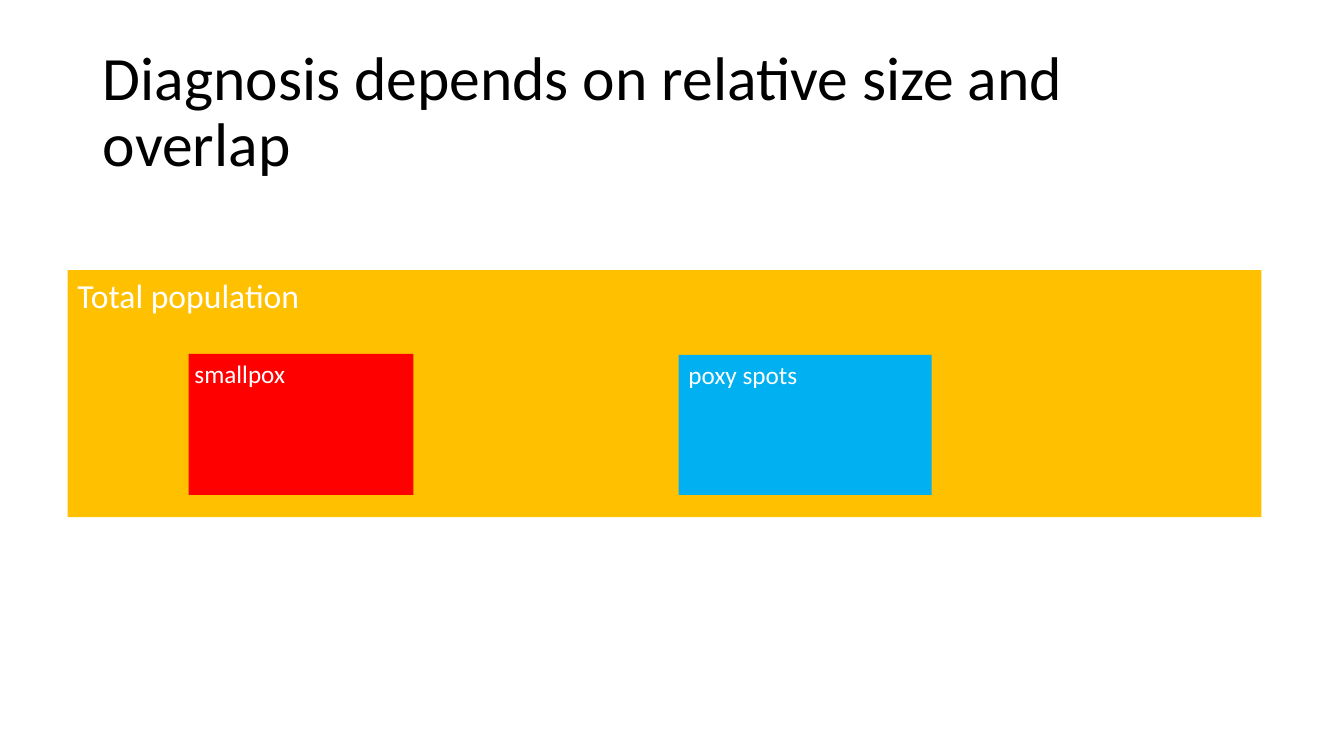
from pptx import Presentation
from pptx.dml.color import RGBColor
from pptx.enum.shapes import MSO_SHAPE
from pptx.enum.text import MSO_ANCHOR, MSO_AUTO_SIZE, PP_ALIGN
from pptx.util import Pt

PX = 9144  # 100 px to the inch
FONT = "Calibri"
HUES = {
    "text": "000000",
    "label": "FFFFFF",
    "total": "FFC000",
    "smallpox": "FF0000",
    "spots": "00B0F0",
}


def emu(*sizes):
    return [size * PX for size in sizes]


def hue(name):
    return RGBColor.from_string(HUES[name])


def style(par, size, name):
    par.alignment = PP_ALIGN.LEFT
    for run in par.runs:
        run.font.name = FONT
        run.font.size = Pt(size)
        run.font.color.rgb = hue(name)


# Heading in the title placeholder
def add_title(slide, box, text):
    title = slide.shapes.title
    title.left, title.top, title.width, title.height = emu(*box)
    frame = title.text_frame
    frame.text = text
    frame.word_wrap = True
    frame.auto_size = MSO_AUTO_SIZE.NONE
    frame.vertical_anchor = MSO_ANCHOR.MIDDLE
    frame.margin_right = 30 * PX
    par = frame.paragraphs[0]
    par.line_spacing = 0.9
    style(par, 44, "text")


# Coloured set with a label in its top left corner
def add_set(slide, box, name, text, size, label, shift=0):
    left, top, _, _ = box
    rect = slide.shapes.add_shape(MSO_SHAPE.RECTANGLE, *emu(*box))
    rect.shadow.inherit = False
    rect.fill.solid()
    rect.fill.fore_color.rgb = hue(name)
    rect.line.fill.background()

    note = slide.shapes.add_textbox(*emu(left + shift, top, *label))
    frame = note.text_frame
    frame.text = text
    frame.word_wrap = False
    frame.auto_size = MSO_AUTO_SIZE.SHAPE_TO_FIT_TEXT
    style(frame.paragraphs[0], size, "label")


# Population with the two sets inside it
def add_venn(slide, box):
    left, top, _, _ = box
    add_set(slide, box, "total", "Total population", 24, (251, 50))
    add_set(slide, (left + 120, top + 83, 223, 140), "smallpox",
            "smallpox", 18, (115, 40), shift=-4)
    add_set(slide, (left + 606, top + 84, 251, 139), "spots",
            "poxy spots", 18, (139, 40))


def main():
    deck = Presentation()
    deck.slide_width, deck.slide_height = emu(1333, 750)
    slide = deck.slides.add_slide(deck.slide_layouts[5])
    add_title(slide, (92, 40, 1173, 145),
              "Diagnosis depends on relative size and overlap")
    add_venn(slide, (67, 268, 1184, 245))
    deck.save("out.pptx")


if __name__ == "__main__":
    main()
